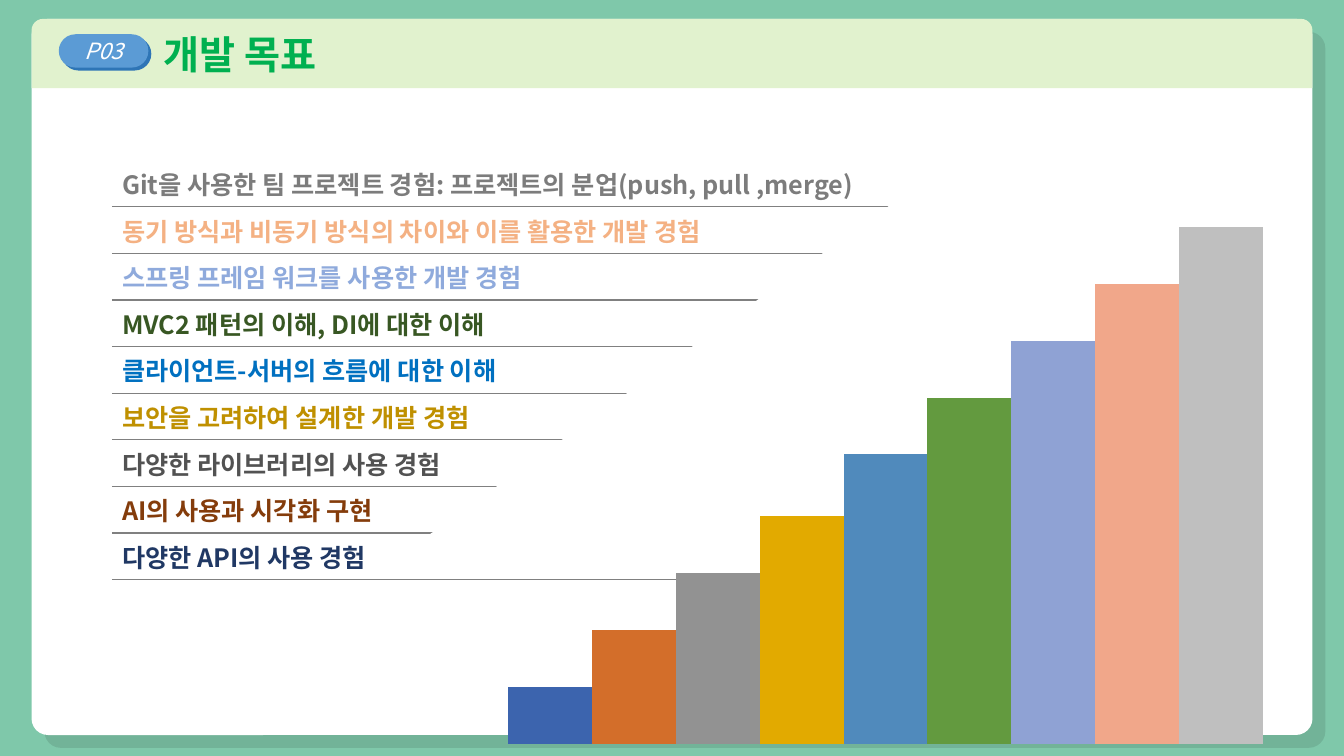
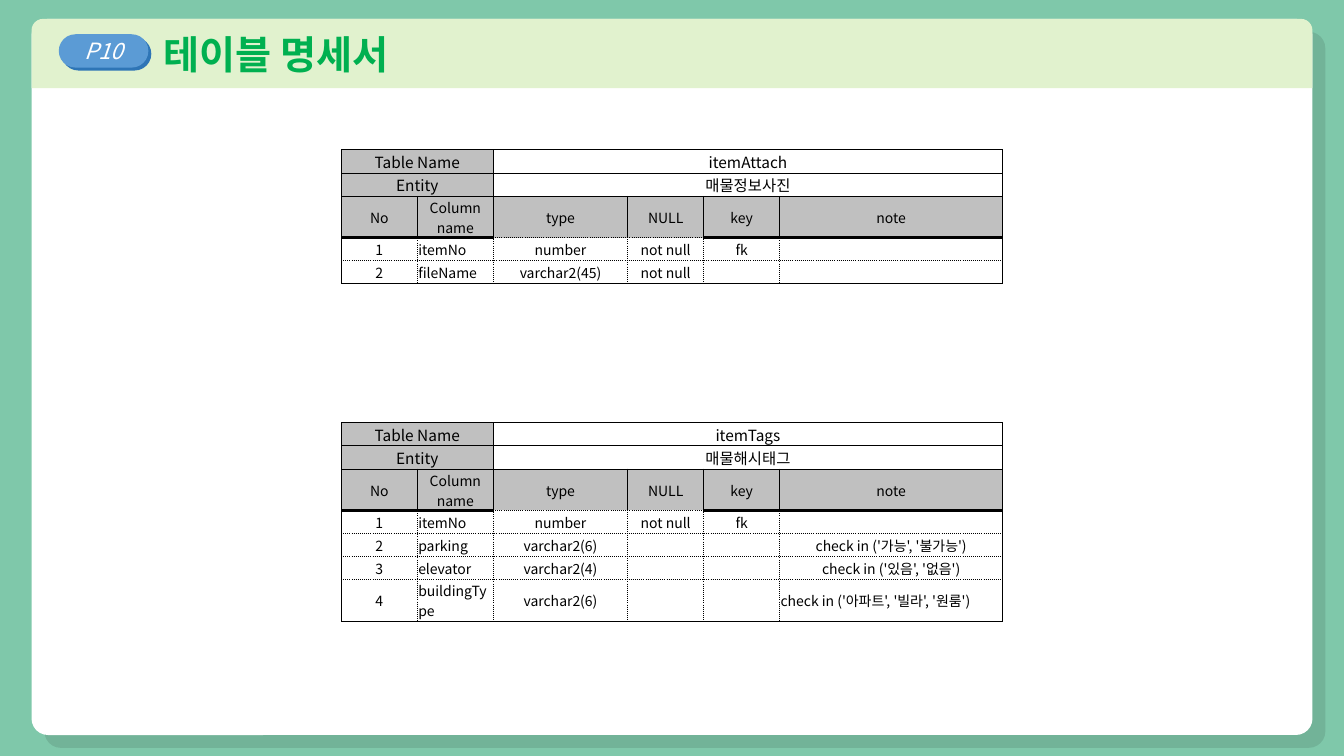
from lxml.etree import SubElement
from pptx import Presentation
from pptx.chart.data import CategoryChartData as ChartData
from pptx.dml.color import RGBColor as RGB
from pptx.enum.chart import XL_CHART_TYPE as Chart
from pptx.enum.shapes import MSO_SHAPE as Shape
from pptx.enum.text import MSO_ANCHOR as Anchor, MSO_AUTO_SIZE as Fit, PP_ALIGN as Align
from pptx.oxml.ns import qn
from pptx.util import Pt

FONT = "Noto Sans CJK KR"
MINT = RGB(0x7F, 0xC8, 0xAA)
LIME = RGB(0xE1, 0xF2, 0xCE)
GREEN = RGB(0x00, 0xB0, 0x50)
BLUE = RGB(0x5B, 0x9B, 0xD5)
NAVY = RGB(0x2E, 0x75, 0xB6)
WHITE = RGB(0xFF, 0xFF, 0xFF)
BLACK = RGB(0x00, 0x00, 0x00)
SILVER = RGB(0xC0, 0xC0, 0xC0)
GRAY = RGB(0x80, 0x80, 0x80)

GOALS = [
    ("Git을 사용한 팀 프로젝트 경험: 프로젝트의 분업(push, pull ,merge)", RGB(0x7C, 0x7C, 0x7C)),
    ("동기 방식과 비동기 방식의 차이와 이를 활용한 개발 경험", RGB(0xF4, 0xB1, 0x83)),
    ("스프링 프레임 워크를 사용한 개발 경험", RGB(0x8F, 0xAA, 0xDC)),
    ("MVC2 패턴의 이해, DI에 대한 이해", RGB(0x38, 0x57, 0x23)),
    ("클라이언트-서버의 흐름에 대한 이해", RGB(0x00, 0x70, 0xC0)),
    ("보안을 고려하여 설계한 개발 경험", RGB(0xBF, 0x90, 0x00)),
    ("다양한 라이브러리의 사용 경험", RGB(0x52, 0x52, 0x52)),
    ("AI의 사용과 시각화 구현", RGB(0x84, 0x3C, 0x0B)),
    ("다양한 API의 사용 경험", RGB(0x20, 0x38, 0x64)),
]
STEPS = [
    RGB(0x3C, 0x64, 0xAE), RGB(0xD3, 0x6E, 0x2A), RGB(0x92, 0x92, 0x92),
    RGB(0xE2, 0xAA, 0x00), RGB(0x50, 0x8A, 0xBC), RGB(0x63, 0x9A, 0x3F),
    RGB(0x8F, 0xA2, 0xD4), RGB(0xF1, 0xA7, 0x8A), RGB(0xBF, 0xBF, 0xBF),
]

HEADS = ["No", "Column name", "type", "NULL", "key", "note"]
COLS = [54.3, 54.3, 96, 54.3, 54.3, 159.3]
LOW, TALL = 16.5, 29.5
ATTACH = [
    ["1", "itemNo", "number", "not null", "fk", ""],
    ["2", "fileName", "varchar2(45)", "not null", "", ""],
]
TAGS = [
    ["1", "itemNo", "number", "not null", "fk", ""],
    ["2", "parking", "varchar2(6)", "", "", "check in ('가능', '불가능')"],
    ["3", "elevator", "varchar2(4)", "", "", "check in ('있음', '없음')"],
    ["4", "buildingType", "varchar2(6)", "", "", "check in ('아파트', '빌라', '원룸')"],
]

# Border kinds: width in points and dash
THIN, DOTS, THICK = (0.5, "solid"), (0.5, "sysDot"), (2, "solid")


def write(para, text, size, color, align=Align.LEFT, bold=False, italic=False):
    para.alignment = align
    if not text:
        SubElement(para._p, qn("a:endParaRPr"), sz=str(size * 100))
        return
    run = para.add_run()
    run.text = text
    font = run.font
    font.name, font.size, font.bold, font.italic = FONT, Pt(size), bold, italic
    font.color.rgb = color
    SubElement(run._r.get_or_add_rPr(), qn("a:ea"), typeface=FONT)


def draw(slide, kind, box, fill):
    shape = slide.shapes.add_shape(kind, *map(Pt, box))
    shape.shadow.inherit = False
    shape.fill.solid()
    shape.fill.fore_color.rgb = fill
    shape.line.fill.background()
    return shape


def cast(shape, color, dist, alpha):
    """Give the shape a hard shadow to the lower right."""
    effects = shape.element.spPr.find(qn("a:effectLst"))
    shade = SubElement(effects, qn("a:outerShdw"), blurRad="0", dist=str(Pt(dist)),
                       dir="2700000", algn="tl", rotWithShape="0")
    tint = SubElement(shade, qn("a:srgbClr"), val=str(color))
    SubElement(tint, qn("a:alpha"), val=str(alpha * 1000))


def dress(layout, slide):
    """Draw the shared panel on the slide and move it into the layout."""
    layout.background.fill.solid()
    layout.background.fill.fore_color.rgb = MINT
    for holder in list(layout.placeholders)[1:]:
        holder.element.getparent().remove(holder.element)
    title = layout.placeholders[0]
    title.left, title.top, title.width, title.height = map(Pt, (109.5, 13.7, 800, 49.7))

    panel = draw(slide, Shape.ROUNDED_RECTANGLE, (22.5, 13.5, 915, 511.5), WHITE)
    panel.adjustments[0] = 0.023
    cast(panel, BLACK, 13, 10)
    band = draw(slide, Shape.ROUND_2_SAME_RECTANGLE, (22.5, 13.5, 915, 49.5), LIME)
    for spot, shape in enumerate((panel, band), 2):
        layout.shapes.element.insert(spot, shape.element)


def head(slide, page, text):
    frame = slide.shapes.title.text_frame
    frame.auto_size = Fit.NONE
    frame.vertical_anchor = Anchor.MIDDLE
    write(frame.paragraphs[0], text, 28, GREEN, bold=True)

    pill = draw(slide, Shape.ROUNDED_RECTANGLE, (42, 24.5, 64, 23.8), BLUE)
    pill.adjustments[0] = 0.5
    cast(pill, NAVY, 3, 100)
    frame = pill.text_frame
    frame.margin_top = frame.margin_bottom = 0
    frame.vertical_anchor = Anchor.MIDDLE
    write(frame.paragraphs[0], page, 16, WHITE, Align.CENTER, italic=True)


def grid(slide, left, top, cols, rows):
    """Add a plain table with the given column widths and row heights."""
    size = map(Pt, (left, top, sum(cols), sum(rows)))
    table = slide.shapes.add_table(len(rows), len(cols), *size).table
    table.first_row = table.horz_banding = False
    for col, width in zip(table.columns, cols):
        col.width = Pt(width)
    for row, height in zip(table.rows, rows):
        row.height = Pt(height)
    return table


def edge(cell, color, kinds):
    """Set left, right, top and bottom borders; None leaves a side open."""
    props = cell._tc.get_or_add_tcPr()
    for side, kind in zip("LRTB", kinds):
        if kind is None:
            line = SubElement(props, qn("a:ln" + side))
            SubElement(line, qn("a:noFill"))
            continue
        width, dash = kind
        line = SubElement(props, qn("a:ln" + side), w=str(Pt(width)))
        paint = SubElement(line, qn("a:solidFill"))
        SubElement(paint, qn("a:srgbClr"), val=str(color))
        SubElement(line, qn("a:prstDash"), val=dash)


def goals(slide):
    table = grid(slide, 80, 114.5, [640], [33.3] * len(GOALS))
    for row, (text, color) in enumerate(GOALS):
        cell = table.cell(row, 0)
        above = (1, "solid") if row else None
        edge(cell, GRAY, (None, None, above, (1, "solid")))
        cell.fill.background()
        write(cell.text_frame.paragraphs[0], text, 18, color, bold=True)


def stairs(slide):
    data = ChartData()
    data.categories = ["1"]
    count = len(STEPS)
    for step in range(1, count + 1):
        data.add_series(f"Series {step}", [round(100 * step / count)])
    box = map(Pt, (305, 113, 655, 427))
    chart = slide.shapes.add_chart(Chart.COLUMN_CLUSTERED, *box, data).chart
    chart.has_legend = chart.has_title = False
    chart.font.name, chart.font.size = FONT, Pt(18)
    chart.font.color.rgb = BLACK
    for axis in (chart.category_axis, chart.value_axis):
        axis.has_major_gridlines = False
        axis.visible = False
    chart.value_axis.minimum_scale = 0
    chart.value_axis.maximum_scale = 111
    plot = chart.plots[0]
    plot.vary_by_categories = False
    plot.gap_width, plot.overlap = 150, 0
    for series, color in zip(plot.series, STEPS):
        series.format.fill.solid()
        series.format.fill.fore_color.rgb = color


def sides(row, col, last):
    """Choose the borders of one cell in a table specification."""
    rule = DOTS if col in (2, 3) else THICK
    if row < 3:
        return THIN, THIN, THIN, rule if row == 2 else THIN
    return (DOTS if col else THIN,
            THIN if col == len(COLS) - 1 else DOTS,
            rule if row == 3 else DOTS,
            THIN if row == last else DOTS)


def spec_table(slide, top, name, entity, body):
    blank = [""] * 3
    lines = [["Table Name", "", name, *blank], ["Entity", "", entity, *blank], HEADS, *body]
    rows = [TALL if "Column name" in line or "buildingType" in line else LOW
            for line in lines]
    table = grid(slide, 243.8, top, COLS, rows)
    for row, line in enumerate(lines):
        for col, text in enumerate(line):
            cell = table.cell(row, col)
            cell.margin_left = cell.margin_right = cell.margin_top = Pt(0.7)
            cell.margin_bottom = 0
            cell.vertical_anchor = Anchor.MIDDLE
            edge(cell, BLACK, sides(row, col, len(lines) - 1))
            cell.fill.solid()
            gray = row == 2 or row < 2 and col < 2
            cell.fill.fore_color.rgb = SILVER if gray else WHITE
            left = row > 2 and (col == 1 or "원룸" in text)
            write(cell.text_frame.paragraphs[0], text, 11 if row < 2 else 10, BLACK,
                  Align.LEFT if left else Align.CENTER)
    for row in range(2):
        table.cell(row, 0).merge(table.cell(row, 1))
        table.cell(row, 2).merge(table.cell(row, 5))


def main():
    deck = Presentation()
    deck.slide_width, deck.slide_height = Pt(960), Pt(540)
    layout = deck.slide_layouts[5]

    slide = deck.slides.add_slide(layout)
    dress(layout, slide)
    head(slide, "P03", "개발 목표")
    goals(slide)
    mask = draw(slide, Shape.RIGHT_TRIANGLE, (348.5, 4.3, 329, 460), WHITE)
    mask.rotation = 270
    stairs(slide)

    slide = deck.slides.add_slide(layout)
    head(slide, "P10", "테이블 명세서")
    spec_table(slide, 106.8, "itemAttach", "매물정보사진", ATTACH)
    spec_table(slide, 301.7, "itemTags", "매물해시태그", TAGS)

    deck.save("out.pptx")


if __name__ == "__main__":
    main()
